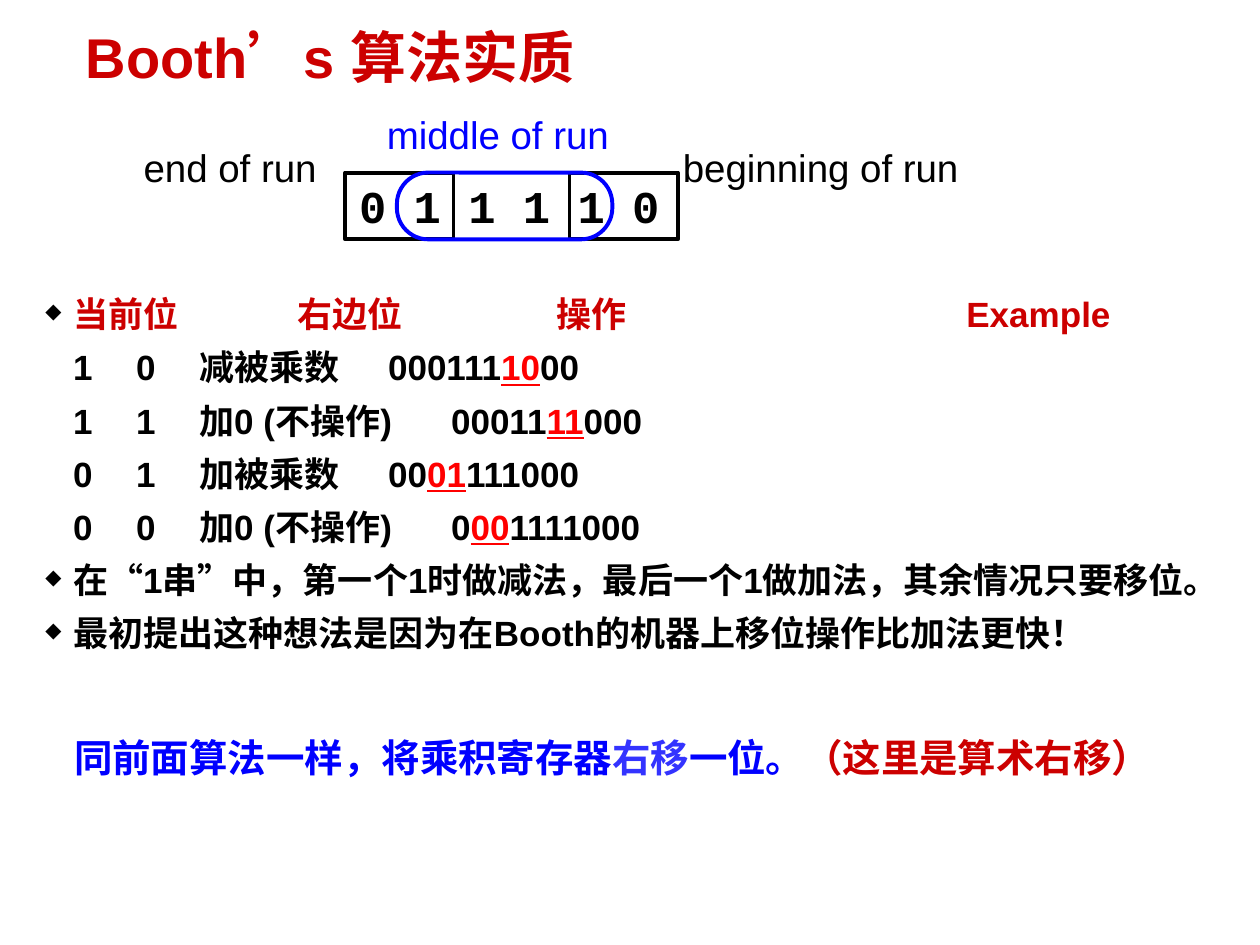
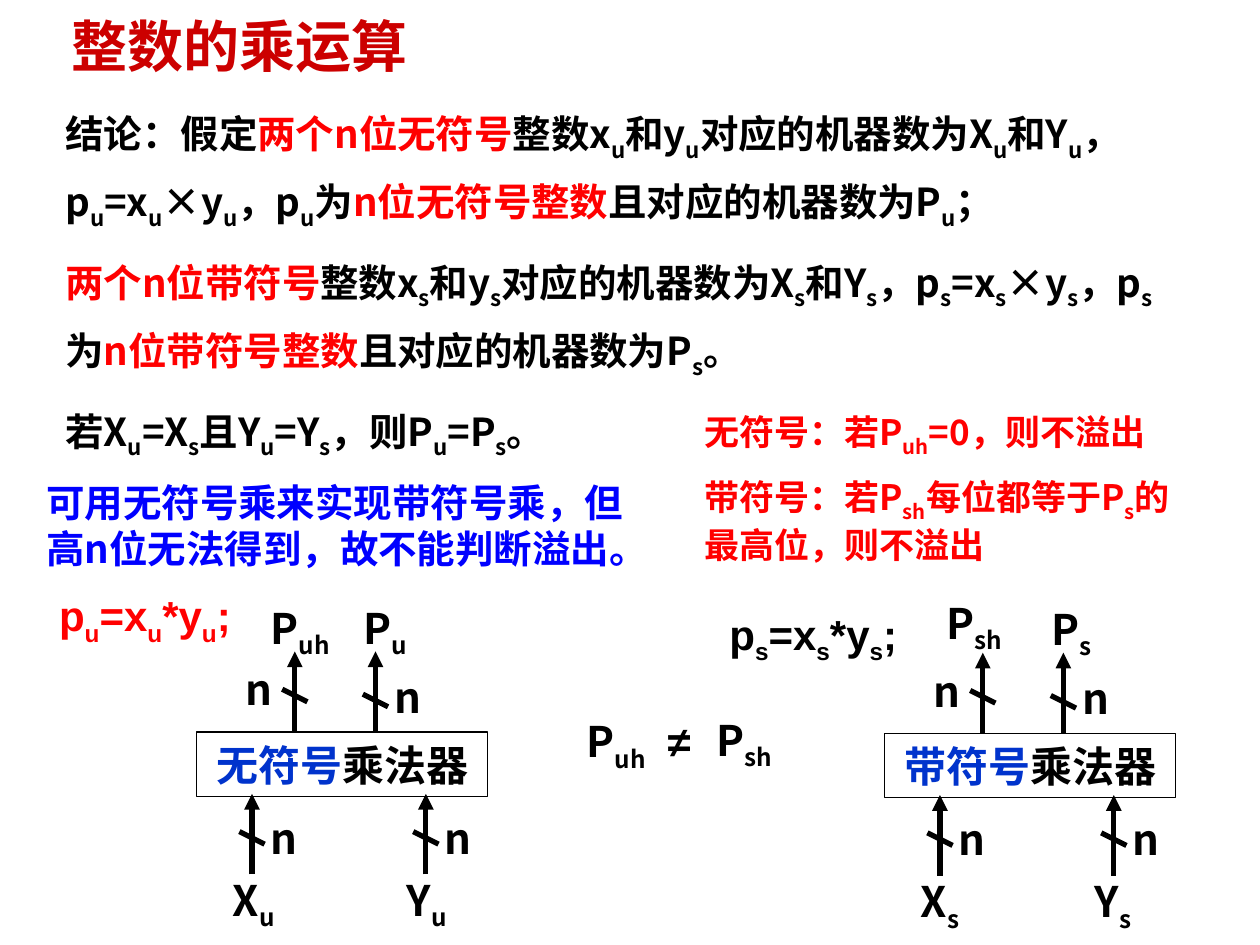
from dataclasses import dataclass

from lxml import etree
from pptx import Presentation
from pptx.dml.color import RGBColor
from pptx.enum.shapes import MSO_CONNECTOR, MSO_SHAPE
from pptx.enum.text import MSO_ANCHOR, MSO_AUTO_SIZE, PP_ALIGN
from pptx.oxml.ns import qn
from pptx.util import Inches, Pt

STRAIGHT = MSO_CONNECTOR.STRAIGHT
RECTANGLE = MSO_SHAPE.RECTANGLE
ROUNDED = MSO_SHAPE.ROUNDED_RECTANGLE
TOP = MSO_ANCHOR.TOP
MIDDLE = MSO_ANCHOR.MIDDLE
FIT_SHAPE = MSO_AUTO_SIZE.SHAPE_TO_FIT_TEXT
LEFT = PP_ALIGN.LEFT
CENTER = PP_ALIGN.CENTER


@dataclass(frozen=True)
class Theme:
    latin: str = "Arial"
    cjk: str = "Noto Sans CJK SC"
    mono: str = "Courier New"
    black: str = "000000"
    title: str = "CC0000"
    red: str = "FF0000"
    blue: str = "0000FF"
    soft_blue: str = "3333FF"
    unit_blue: str = "0033CC"
    title_size: int = 32
    bits_size: int = 26
    label_size: int = 24
    text_size: int = 22
    small_size: int = 20


THEME = Theme()
RED = {"color": THEME.red}
MARKED = {"color": THEME.red, "underline": True}
TITLE_INSETS = (0.07, 0.03)
NO_INSETS = (0, 0)


def set_values(target, values):
    for name, value in values.items():
        setattr(target, name, value)


def add_run(paragraph, text, look, subscript=False):
    run = paragraph.add_run()
    run.text = text
    set_values(run.font, {
        "name": look["font"],
        "size": Pt(look["size"]),
        "bold": look.get("bold", True),
        "underline": look.get("underline"),
    })
    run.font.color.rgb = RGBColor.from_string(look["color"])
    properties = run._r.get_or_add_rPr()
    etree.SubElement(properties, qn("a:ea"), typeface=THEME.cjk)
    if subscript:
        properties.set("baseline", "-25000")


def fill_paragraph(paragraph, pieces, look):
    for piece in [pieces] if isinstance(pieces, str) else pieces:
        text, changes = (piece, {}) if isinstance(piece, str) else piece
        for index, part in enumerate(text.split("|")):
            if part:
                add_run(paragraph, part, look | changes, index % 2 == 1)


def write(shape, paragraphs, look, space=0, **paragraph_values):
    frame = shape.text_frame
    for index, pieces in enumerate(paragraphs):
        paragraph = frame.paragraphs[0] if index == 0 else frame.add_paragraph()
        set_values(paragraph, {"alignment": LEFT} | paragraph_values)
        if index:
            paragraph.space_before = Pt(space)
        fill_paragraph(paragraph, pieces, look)
    return frame.paragraphs


def add_text(slide, box, paragraphs, look, insets=(0.1, 0.05), wrap=True,
             anchor=TOP, **paragraph_values):
    shape = slide.shapes.add_textbox(*map(Inches, box))
    side, edge = map(Inches, insets)
    set_values(shape.text_frame, {
        "margin_left": side, "margin_right": side,
        "margin_top": edge, "margin_bottom": edge,
        "word_wrap": wrap, "vertical_anchor": anchor, "auto_size": FIT_SHAPE,
    })
    return write(shape, paragraphs, look, **paragraph_values)


def style(font=THEME.cjk, size=THEME.label_size, color=THEME.black, bold=True):
    return {"font": font, "size": size, "color": color, "bold": bold}


def add_title(slide, box, pieces):
    add_text(slide, box, [pieces],
             style(THEME.latin, THEME.title_size, THEME.title),
             TITLE_INSETS, anchor=MIDDLE, line_spacing=0.87)


def add_outline(slide, kind, box, color, width):
    shape = slide.shapes.add_shape(kind, *map(Inches, box))
    shape.shadow.inherit = False
    shape.fill.background()
    shape.line.color.rgb = RGBColor.from_string(color)
    shape.line.width = Pt(width)
    return shape


def add_line(slide, start, end, arrow=False):
    line = slide.shapes.add_connector(STRAIGHT, *map(Inches, start + end))
    line.line.color.rgb = RGBColor.from_string(THEME.black)
    line.line.width = Pt(3)
    if arrow:
        etree.SubElement(line.line._get_or_add_ln(), qn("a:tailEnd"), type="triangle")
    etree.SubElement(line._element.spPr, qn("a:effectLst"))


def format_list_item(paragraph, bullet, tabs=()):
    properties = paragraph._p.get_or_add_pPr()
    properties.set("marL", str(Inches(0.22)))
    properties.set("indent", str(-Inches(0.22)))
    if bullet:
        color = etree.SubElement(properties, qn("a:buClr"))
        etree.SubElement(color, qn("a:srgbClr"), val=THEME.black)
        etree.SubElement(properties, qn("a:buSzPct"), val="60000")
        etree.SubElement(properties, qn("a:buChar"), char="◆")
    if tabs:
        tab_list = etree.SubElement(properties, qn("a:tabLst"))
        for position in tabs:
            etree.SubElement(tab_list, qn("a:tab"), pos=str(Inches(position)), algn="l")


def add_bit_run(slide):
    add_text(slide, (2.85, 1.41, 2.39, 0.43), ["0 1 1 1 1 0"],
             style(THEME.mono, THEME.bits_size), NO_INSETS, wrap=False)
    for left in (2.74, 4.52):
        add_outline(slide, RECTANGLE, (left, 1.37, 0.86, 0.53), THEME.black, 2.25)
    middle = add_outline(slide, ROUNDED, (3.15, 1.37, 1.71, 0.53), THEME.blue, 2.25)
    middle.adjustments[0] = 0.47
    for text, box, color in (
        ("end of run", (1.14, 1.14, 1.65, 0.48), THEME.black),
        ("middle of run", (3.07, 0.88, 2.13, 0.48), THEME.blue),
        ("beginning of run", (5.42, 1.14, 2.6, 0.48), THEME.black),
    ):
        add_text(slide, box, [text], style(THEME.latin, THEME.text_size, color, False),
                 NO_INSETS, wrap=False)


def add_booth_rules(slide):
    header = [("当前位\t右边位\t操作\tExample", {"color": THEME.title})]
    rows = [
        ["\t1\t0\t减被乘数\t000111", ("10", MARKED), "00"],
        ["\t1\t1\t加0 (不操作)\t00011", ("11", MARKED), "000"],
        ["\t0\t1\t加被乘数\t00", ("01", MARKED), "111000"],
        ["\t0\t0\t加0 (不操作) \t0", ("00", MARKED), "1111000"],
    ]
    notes = [
        "在“1串”中，第一个1时做减法，最后一个1做加法，其余情况只要移位。",
        "最初提出这种想法是因为在Booth的机器上移位操作比加法更快！",
    ]
    paragraphs = add_text(slide, (0.29, 2.26, 9.53, 3.49), [header, *rows, *notes],
                          style(THEME.latin, THEME.small_size), TITLE_INSETS,
                          space=4, line_spacing=1.1)
    format_list_item(paragraphs[0], True, (2, 4.06, 7.31))
    for index, paragraph in enumerate(paragraphs[1:]):
        format_list_item(paragraph, index >= len(rows))


def build_booth_slide(slide):
    add_title(slide, (0.61, 0.22, 4.94, 0.52),
              ["Booth", ("’", {"font": THEME.cjk}), "s 算法实质"])
    add_booth_rules(slide)
    add_text(slide, (0.49, 5.78, 8.81, 0.47), [[
        "同前面算法一样，将乘积寄存器",
        ("右移", {"color": THEME.soft_blue}),
        "一位。",
        ("（这里是算术右移）", {"color": THEME.title}),
    ]], style(THEME.latin, THEME.text_size, THEME.blue), wrap=False)
    add_bit_run(slide)


def add_label(slide, left, top, text, width=0.59, font=THEME.cjk):
    add_text(slide, (left, top, width, 0.5), [text], style(font))


def add_multiplier(slide, left, top, kind, sign, high_box):
    unit = add_outline(slide, RECTANGLE, (left, top, 2.31, 0.51), THEME.black, 0.75)
    unit.text_frame.word_wrap = True
    write(unit, [[(kind, {"color": THEME.unit_blue}), "乘法器"]],
          style(THEME.latin), alignment=CENTER)
    for wire, start, slash in ((0.44, 1.13, 0.79), (1.82, 1.13, 0.79),
                               (0.78, 0, -0.34), (1.42, 0, -0.3)):
        x = left + wire
        add_line(slide, (x, top + start), (x, top + start - 0.64), arrow=True)
        add_line(slide, (x - 0.1, top + slash), (x + 0.1, top + slash + 0.1))
    for text, x, y in (
        (f"X|{sign}|", 0.19, 1.08), (f"Y|{sign}|", 1.57, 1.08),
        (f"P|{sign}|", 1.23, -1.08), ("n", 0.29, -0.59), ("n", 1.47, -0.53),
        ("n", 0.49, 0.59), ("n", 1.87, 0.59),
    ):
        add_label(slide, left + x, top + y, text)
    x, y, width = high_box
    add_label(slide, left + x, top + y, f"P|{sign}h|", width)


def product_statement(opening, kind, sign, closing):
    return [
        opening, (f"两个n位{kind}", RED),
        f"整数x|{sign}|和y|{sign}|对应的机器数为X|{sign}|和Y|{sign}|，"
        f"p|{sign}|=x|{sign}|×y|{sign}|，p|{sign}|为",
        (f"n位{kind}整数", RED), f"且对应的机器数为P|{sign}|{closing}",
    ]


def build_integer_slide(slide):
    add_title(slide, (0.5, 0.11, 9, 0.58), "整数的乘运算")
    add_text(slide, (0.42, 0.85, 9.01, 2.7), [
        product_statement("结论：假定", "无符号", "u", "；"),
        product_statement("", "带符号", "s", "。"),
        "若X|u|=X|s|且Y|u|=Y|s|，则P|u|=P|s|。",
    ], style(size=THEME.text_size), anchor=MIDDLE, space=7, line_spacing=1.3)
    add_text(slide, (0.27, 3.75, 4.87, 0.83),
             ["可用无符号乘来实现带符号乘，但高n位无法得到，故不能判断溢出。"],
             style(size=THEME.text_size, color=THEME.blue))
    add_text(slide, (5.49, 3.21, 4.03, 1.27), [
        "无符号：若P|uh|=0，则不溢出",
        "带符号：若P|sh|每位都等于P|s|的最高位，则不溢出",
    ], style(size=THEME.small_size, color=THEME.red), space=10)
    add_multiplier(slide, 1.56, 5.81, "无符号", "u", (0.49, -1.08, 0.74))
    add_multiplier(slide, 7.02, 5.82, "带符号", "s", (0.39, -1.13, 0.69))
    for sign, box, color in (("u", (0.37, 4.63, 1.62, 0.5), THEME.red),
                             ("s", (5.69, 4.78, 1.58, 0.5), THEME.black)):
        add_text(slide, box, [f"p|{sign}|=x|{sign}|*y|{sign}|;"],
                 style(THEME.latin, color=color), wrap=False)
    add_label(slide, 4.56, 5.63, "P|uh|", 0.74)
    add_label(slide, 5.2, 5.63, "≠", 0.44, THEME.latin)
    add_label(slide, 5.59, 5.62, "P|sh|", 0.69)


def main():
    presentation = Presentation()
    presentation.slide_width = Inches(10)
    presentation.slide_height = Inches(7.5)
    blank = presentation.slide_layouts[6]
    for build in (build_booth_slide, build_integer_slide):
        build(presentation.slides.add_slide(blank))
    presentation.save("out.pptx")


if __name__ == "__main__":
    main()
